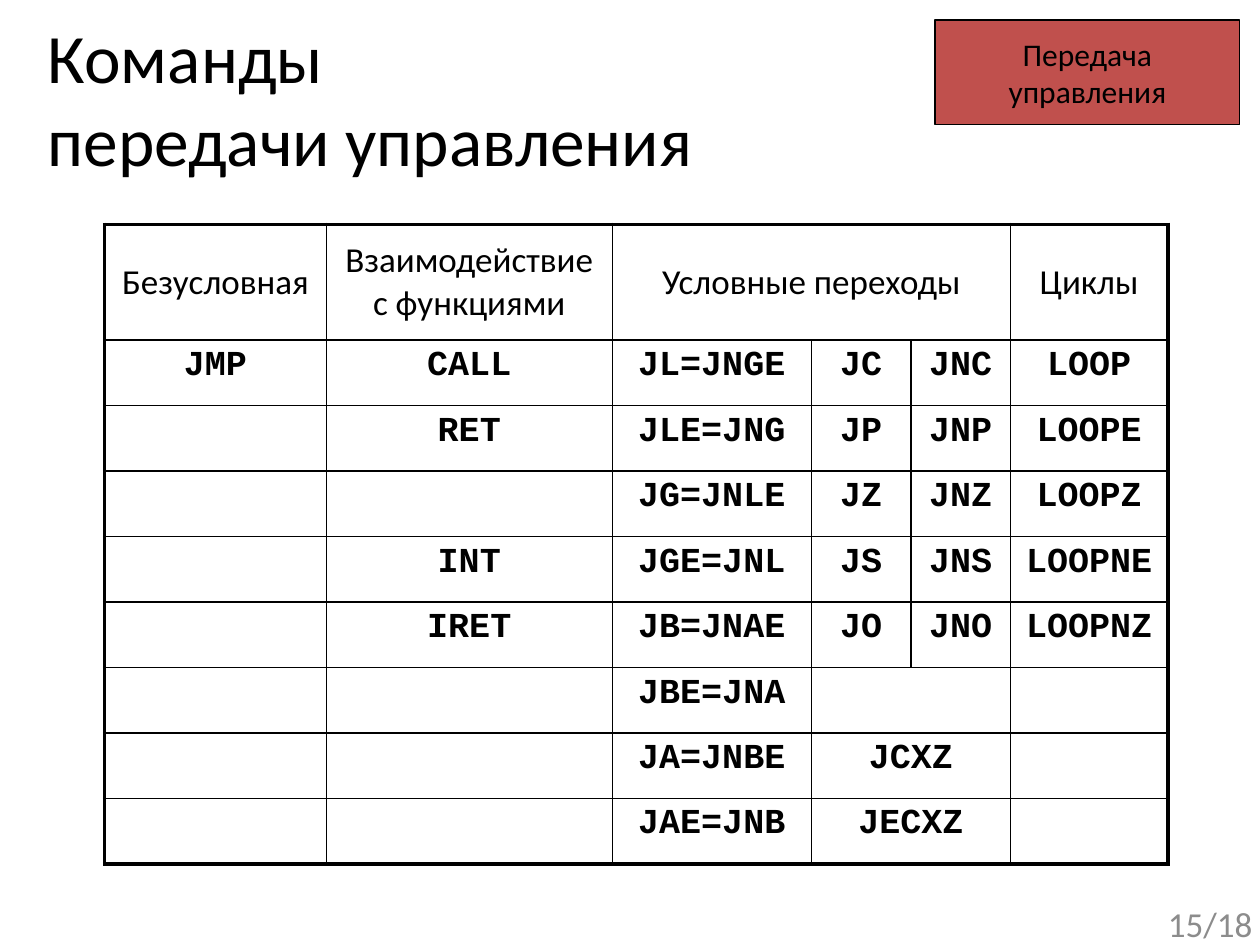
from dataclasses import dataclass

import pptx
import pptx.dml.color
import pptx.enum.shapes
import pptx.enum.text
import pptx.oxml
import pptx.oxml.ns
import pptx.util

Inches = pptx.util.Inches
Pt = pptx.util.Pt
RGBColor = pptx.dml.color.RGBColor
Align = pptx.enum.text.PP_ALIGN
Anchor = pptx.enum.text.MSO_ANCHOR

BLACK = RGBColor(0x00, 0x00, 0x00)
WHITE = RGBColor(0xFF, 0xFF, 0xFF)
RED = RGBColor(0xC0, 0x50, 0x4D)
GRAY = RGBColor(0x8C, 0x8C, 0x8C)

BODY_FONT = "Calibri"
CODE_FONT = "Courier New"
THIN, THICK = 1, 2.25


@dataclass
class Box:
    left: float
    top: float
    width: float
    height: float

    def lengths(self) -> list:
        return [Inches(n) for n in (self.left, self.top, self.width, self.height)]


COLUMN_WIDTHS = [1.76, 2.27, 1.58, 0.79, 0.79, 1.25]
HEADER_HEIGHT, ROW_HEIGHT = 0.92, 0.52
ROWS = [
    ["Безусловная", "Взаимодействие с функциями", "Условные переходы", "", "", "Циклы"],
    ["JMP", "CALL", "JL=JNGE", "JC", "JNC", "LOOP"],
    ["", "RET", "JLE=JNG", "JP", "JNP", "LOOPE"],
    ["", "", "JG=JNLE", "JZ", "JNZ", "LOOPZ"],
    ["", "INT", "JGE=JNL", "JS", "JNS", "LOOPNE"],
    ["", "IRET", "JB=JNAE", "JO", "JNO", "LOOPNZ"],
    ["", "", "JBE=JNA", "", "", ""],
    ["", "", "JA=JNBE", "JCXZ", "", ""],
    ["", "", "JAE=JNB", "JECXZ", "", ""],
]
# Merged cells: row, first column, last column
MERGES = [(0, 2, 4), (6, 3, 4), (7, 3, 4), (8, 3, 4)]


def write_text(text_frame, text: str, *, size: float, font: str = BODY_FONT,
               color: RGBColor = BLACK, bold: bool = False, align=Align.LEFT,
               space_before: float = 0) -> None:
    """Fill a text frame; a newline starts a paragraph, a vertical tab breaks a line."""
    text_frame.text = text
    for paragraph in text_frame.paragraphs:
        paragraph.alignment = align
        paragraph.space_before = Pt(space_before)
        for run in paragraph.runs:
            run.font.name = font
            run.font.size = Pt(size)
            run.font.bold = bold
            run.font.color.rgb = color


def set_borders(cell, widths: dict) -> None:
    properties = cell._tc.get_or_add_tcPr()
    for side, width in widths.items():
        properties.append(pptx.oxml.parse_xml(
            f'<a:ln{side} {pptx.oxml.ns.nsdecls("a")} w="{Pt(width)}">'
            f'<a:solidFill><a:srgbClr val="{BLACK}"/></a:solidFill></a:ln{side}>'))


def add_title(slide) -> None:
    title = slide.shapes.title
    title.left, title.top, title.width, title.height = Box(0.28, 0.06, 9.45, 1.25).lengths()
    title.text_frame.auto_size = pptx.enum.text.MSO_AUTO_SIZE.NONE
    title.text_frame.vertical_anchor = Anchor.TOP
    write_text(title.text_frame, "Команды \vпередачи управления", size=39.6)


def add_command_table(slide) -> None:
    last_row, last_column = len(ROWS) - 1, len(COLUMN_WIDTHS) - 1
    box = Box(0.83, 1.78, sum(COLUMN_WIDTHS), HEADER_HEIGHT + last_row * ROW_HEIGHT)
    table = slide.shapes.add_table(len(ROWS), len(COLUMN_WIDTHS), *box.lengths()).table
    table.first_row = table.horz_banding = False
    for column, width in zip(table.columns, COLUMN_WIDTHS):
        column.width = Inches(width)

    for row_index, texts in enumerate(ROWS):
        is_header = row_index == 0
        table.rows[row_index].height = Inches(HEADER_HEIGHT if is_header else ROW_HEIGHT)
        for column_index, text in enumerate(texts):
            cell = table.cell(row_index, column_index)
            set_borders(cell, {
                "L": THICK if column_index == 0 else THIN,
                "R": THICK if column_index == last_column else THIN,
                "T": THICK if is_header else THIN,
                "B": THICK if row_index == last_row else THIN,
            })
            if row_index in (0, last_row):
                cell.fill.background()
            else:
                cell.fill.solid()
                cell.fill.fore_color.rgb = WHITE
            cell.vertical_anchor = Anchor.MIDDLE if is_header else Anchor.TOP
            if text:
                write_text(cell.text_frame, text, size=20, bold=not is_header,
                           font=BODY_FONT if is_header else CODE_FONT,
                           align=Align.CENTER, space_before=4)

    for row, first, last in MERGES:
        table.cell(row, first).merge(table.cell(row, last))


def add_section_label(slide) -> None:
    label = slide.shapes.add_shape(pptx.enum.shapes.MSO_SHAPE.RECTANGLE,
                                   *Box(7.42, 0.16, 2.42, 0.83).lengths())
    label.shadow.inherit = False
    label.fill.solid()
    label.fill.fore_color.rgb = RED
    label.line.color.rgb = BLACK
    label.line.width = Pt(0.75)
    label.text_frame.word_wrap = False
    label.text_frame.vertical_anchor = Anchor.MIDDLE
    write_text(label.text_frame, "Передача\nуправления", size=18, align=Align.CENTER)


def add_page_number(slide) -> None:
    text_frame = slide.shapes.add_textbox(*Box(7.71, 7.13, 2.33, 0.4).lengths()).text_frame
    text_frame.word_wrap = True
    text_frame.vertical_anchor = Anchor.MIDDLE
    write_text(text_frame, "15/18", size=20, color=GRAY, align=Align.RIGHT)


def main() -> None:
    presentation = pptx.Presentation()
    presentation.slide_width = Inches(10)
    presentation.slide_height = Inches(7.5)
    slide = presentation.slides.add_slide(presentation.slide_layouts[5])
    add_title(slide)
    add_command_table(slide)
    add_section_label(slide)
    add_page_number(slide)
    presentation.save("out.pptx")


if __name__ == "__main__":
    main()
